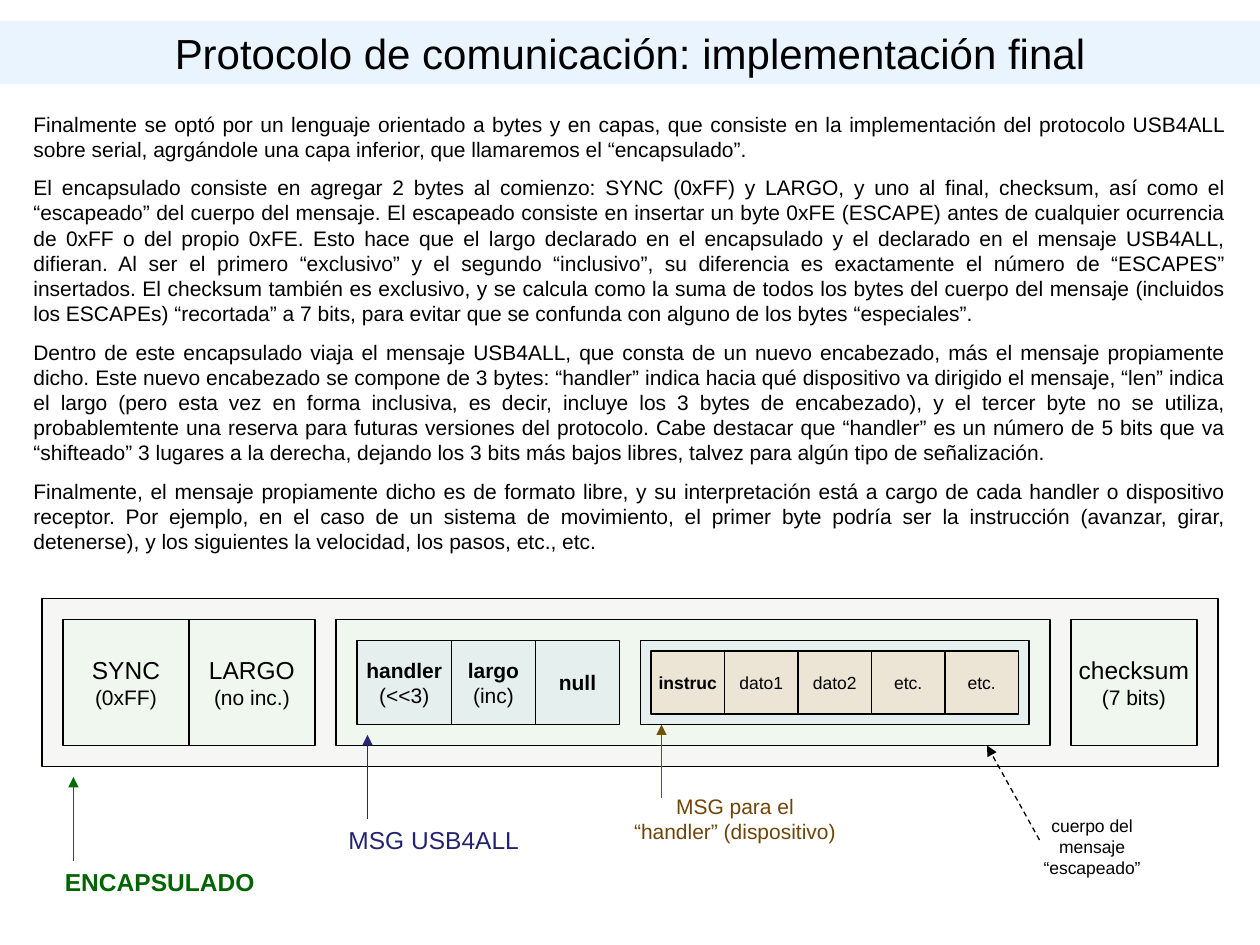
from pptx import Presentation
from pptx.dml.color import RGBColor
from pptx.enum.dml import MSO_LINE
from pptx.enum.shapes import MSO_CONNECTOR as CONN, MSO_SHAPE as SHAPE
from pptx.enum.text import MSO_ANCHOR as ANCHOR, MSO_AUTO_SIZE as AUTO, PP_ALIGN as ALIGN
from pptx.oxml.ns import qn
from pptx.util import Pt
from lxml import etree

BLACK = "000000"
# Fills as (colour, opacity in percent)
TITLE_FILL = ("99CCFF", 20)
FRAME_FILL = ("DDDCD9", 25)
GREEN_FILL = ("CCFFCC", 15)
BLUE_FILL = ("3366FF", 5)
SAND_FILL = ("FFCC99", 30)

TITLE = "Protocolo de comunicación: implementación final"
PARAGRAPHS = [
    "Finalmente se optó por un lenguaje orientado a bytes y en capas, que consiste en la "
    "implementación del protocolo USB4ALL sobre serial, agrgándole una capa inferior, que "
    "llamaremos el “encapsulado”.",
    "El encapsulado consiste en agregar 2 bytes al comienzo: SYNC (0xFF) y LARGO, y uno al "
    "final, checksum, así como el “escapeado” del cuerpo del mensaje. El escapeado consiste en "
    "insertar un byte 0xFE (ESCAPE) antes de cualquier ocurrencia de 0xFF o del propio 0xFE. "
    "Esto hace que el largo declarado en el encapsulado y el declarado en el mensaje USB4ALL, "
    "difieran. Al ser el primero “exclusivo” y el segundo “inclusivo”, su diferencia es "
    "exactamente el número de “ESCAPES” insertados. El checksum también es exclusivo, y se "
    "calcula como la suma de todos los bytes del cuerpo del mensaje (incluidos los ESCAPEs) "
    "“recortada” a 7 bits, para evitar que se confunda con alguno de los bytes “especiales”.",
    "Dentro de este encapsulado viaja el mensaje USB4ALL, que consta de un nuevo encabezado, "
    "más el mensaje propiamente dicho. Este nuevo encabezado se compone de 3 bytes: “handler” "
    "indica hacia qué dispositivo va dirigido el mensaje, “len” indica el largo (pero esta vez "
    "en forma inclusiva, es decir, incluye los 3 bytes de encabezado), y el tercer byte no se "
    "utiliza, probablemtente una reserva para futuras versiones del protocolo. Cabe destacar "
    "que “handler” es un número de 5 bits que va “shifteado” 3 lugares a la derecha, dejando "
    "los 3 bits más bajos libres, talvez para algún tipo de señalización.",
    "Finalmente, el mensaje propiamente dicho es de formato libre, y su interpretación está a "
    "cargo de cada handler o dispositivo receptor. Por ejemplo, en el caso de un sistema de "
    "movimiento, el primer byte podría ser la instrucción (avanzar, girar, detenerse), y los "
    "siguientes la velocidad, los pasos, etc., etc.",
]


def rgb(value):
    return RGBColor.from_string(value)


def set_fill(sp, fill):
    color, opacity = fill
    sp.fill.solid()
    sp.fill.fore_color.rgb = rgb(color)
    clr = sp.fill._xPr.find(qn("a:solidFill"))[0]
    etree.SubElement(clr, qn("a:alpha")).set("val", str(opacity * 1000))


def set_frame(tf, anchor, wrap):
    tf.word_wrap = wrap
    tf.vertical_anchor = anchor
    tf.margin_left = tf.margin_right = Pt(7.2)
    tf.margin_top = tf.margin_bottom = Pt(3.6)


def style(p, size, color=BLACK, bold=False, align=ALIGN.CENTER):
    p.alignment = align
    for r in p.runs:
        r.font.name = "Arial"
        r.font.size = Pt(size)
        r.font.bold = bold
        r.font.color.rgb = rgb(color)


def add_box(shapes, box, fill, lines=()):
    """Outlined box; lines holds (text, size, bold) for each paragraph."""
    sp = shapes.add_shape(SHAPE.RECTANGLE, *map(Pt, box))
    sp.shadow.inherit = False
    set_fill(sp, fill)
    sp.line.color.rgb = rgb(BLACK)
    sp.line.width = Pt(0.75)
    if lines:
        tf = sp.text_frame
        set_frame(tf, ANCHOR.MIDDLE, False)
        tf.text = "\n".join(text for text, _, _ in lines)
        for p, (_, size, bold) in zip(tf.paragraphs, lines):
            style(p, size, bold=bold)


def add_text(shapes, box, text, size, color=BLACK, bold=False, align=ALIGN.CENTER):
    tf = shapes.add_textbox(*map(Pt, box)).text_frame
    set_frame(tf, ANCHOR.TOP, True)
    tf.auto_size = AUTO.SHAPE_TO_FIT_TEXT
    tf.text = text
    for i, p in enumerate(tf.paragraphs):
        style(p, size, color, bold, align)
        if i:
            p.space_before = Pt(7.5)


def add_arrow(shapes, start, end, color, dashed=False):
    line = shapes.add_connector(CONN.STRAIGHT, *map(Pt, start + end))
    line.line.color.rgb = rgb(color)
    line.line.width = Pt(0.75)
    if dashed:
        line.line.dash_style = MSO_LINE.DASH
    etree.SubElement(line.line._get_or_add_ln(), qn("a:tailEnd")).set("type", "triangle")
    etree.SubElement(line._element.spPr, qn("a:effectLst"))


def add_title(slide, box):
    sp = slide.shapes.title
    sp.left, sp.top, sp.width, sp.height = map(Pt, box)
    set_fill(sp, TITLE_FILL)
    tf = sp.text_frame
    set_frame(tf, ANCHOR.MIDDLE, True)
    tf.auto_size = AUTO.NONE
    tf.text = TITLE
    style(tf.paragraphs[0], 24)


def add_row(shapes, left, top, height, widths, fill, cells):
    """Adjacent cells from left to right."""
    for width, lines in zip(widths, cells):
        add_box(shapes, (left, top, width, height), fill, lines)
        left += width


def add_packet(shapes, box):
    """Nested message layers, each inset in the one around it."""
    x, y, w, h = box
    add_box(shapes, box, FRAME_FILL)

    # Encapsulation bytes around the message body
    top, height = y + 12, h - 24
    add_row(shapes, x + 12, top, height, [72, 72], GREEN_FILL,
            [[("SYNC", 14, False), ("(0xFF)", 12, False)],
             [("LARGO", 14, False), ("(no inc.)", 12, False)]])
    add_box(shapes, (x + 168, top, 408, height), GREEN_FILL)
    add_box(shapes, (x + w - 84, top, 72, height), GREEN_FILL,
            [("checksum", 14, False), ("(7 bits)", 12, False)])

    # Message header and the frame of its content
    top, height = top + 12, height - 24
    add_row(shapes, x + 180, top, height, [54, 48, 48], BLUE_FILL,
            [[("handler", 12, True), ("(<<3)", 12, False)],
             [("largo", 12, True), ("(inc)", 12, False)],
             [("null", 12, True)]])
    add_box(shapes, (x + 342, top, 222, height), BLUE_FILL)

    # Content bytes
    names = ["instruc", "dato1", "dato2", "etc.", "etc."]
    add_row(shapes, x + 348, top + 6, height - 12, [42] * len(names), SAND_FILL,
            [[(name, 10, name == "instruc")] for name in names])


def add_callouts(shapes, box):
    """Arrows and labels below the packet that fills the box."""
    x, y, _, h = box
    base = y + h
    add_arrow(shapes, (x + 18, base + 54), (x + 18, base + 6), "006C00")
    add_text(shapes, (x + 6, base + 54, 132, 24.5), "ENCAPSULADO", 14, "006400", True, ALIGN.LEFT)
    add_arrow(shapes, (x + 186, base + 30), (x + 186, base - 18), "272777")
    add_text(shapes, (x + 168, base + 30, 126, 24.5), "MSG USB4ALL", 14, "24246E",
             align=ALIGN.LEFT)
    add_arrow(shapes, (x + 354, base + 18), (x + 354, base - 24), "705404")
    add_text(shapes, (x + 330, base + 12, 132, 36), "MSG para el “handler” (dispositivo)",
             12, "6F4507")
    add_arrow(shapes, (x + 570, base + 42), (x + 540, base - 12), BLACK, dashed=True)
    add_text(shapes, (x + 558, base + 24, 84, 43), "cuerpo del mensaje “escapeado”", 10)


def main():
    prs = Presentation()
    prs.slide_width, prs.slide_height = Pt(720), Pt(540)
    slide = prs.slides.add_slide(prs.slide_layouts[5])
    add_title(slide, (0, 12, 720, 36))
    add_text(slide.shapes, (12, 60, 696, 260), "\n".join(PARAGRAPHS), 12, align=ALIGN.JUSTIFY)
    packet = (24, 342, 672, 96)
    diagram = slide.shapes.add_group_shape().shapes
    add_packet(diagram, packet)
    add_callouts(diagram, packet)
    prs.save("out.pptx")


if __name__ == "__main__":
    main()
